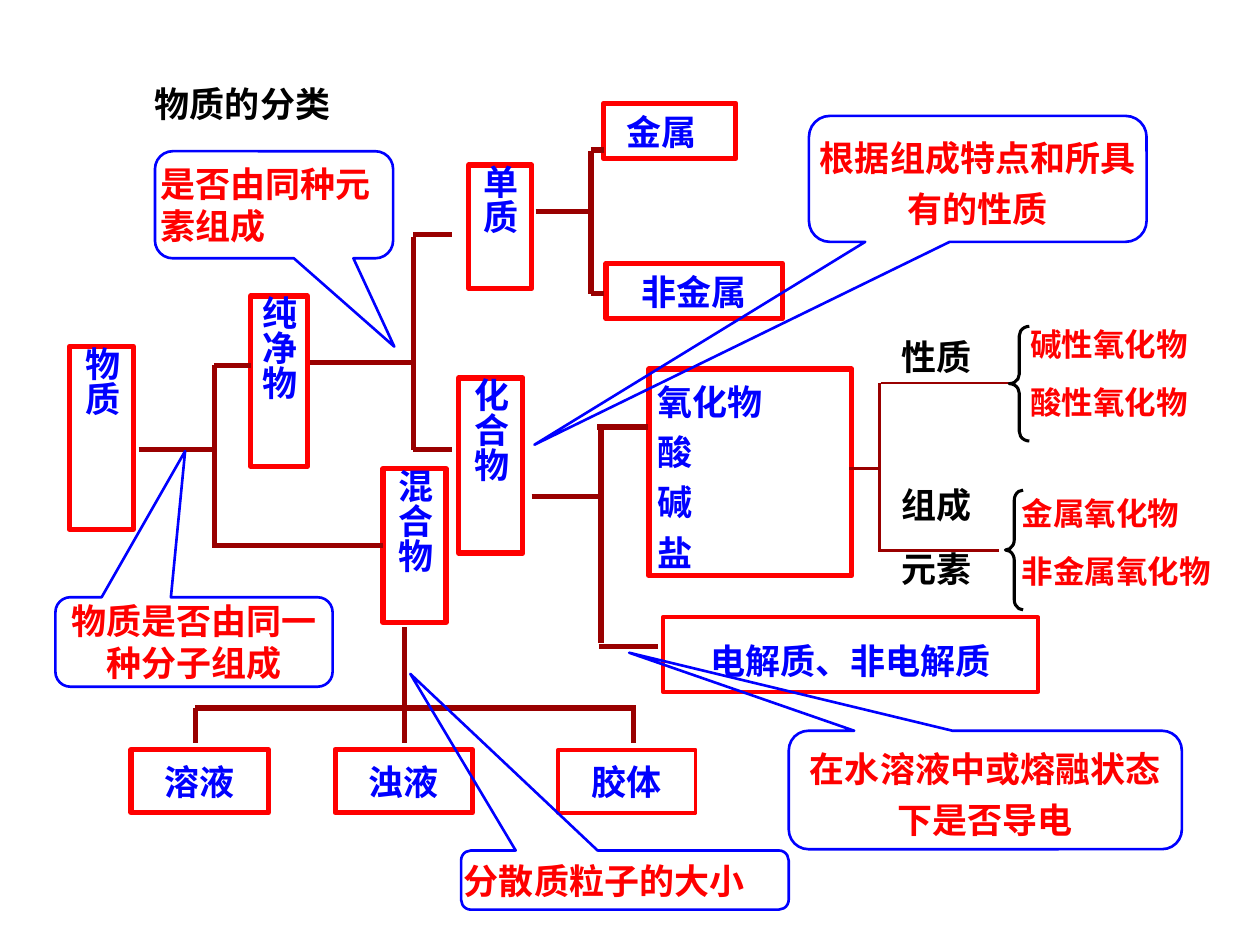
import pptx
import pptx.util
import pptx.dml.color
import pptx.enum.shapes
import pptx.enum.text
import lxml.etree

px = pptx.util.Inches(1) // 100
rgb = pptx.dml.color.RGBColor.from_string
kind = pptx.enum.shapes.MSO_SHAPE
align = pptx.enum.text.PP_ALIGN
red, blue, brown, black = "FF0000", "0000FF", "990000", "000000"
roman, arial = "Times New Roman", "Arial"


def write(shape, text, face, hue, side, size=20, pad=(0, 0), lead=None, gap=0):
    frame = shape.text_frame
    frame.word_wrap = True
    frame.auto_size = pptx.enum.text.MSO_AUTO_SIZE.NONE
    frame.vertical_anchor = pptx.enum.text.MSO_ANCHOR.MIDDLE
    frame.margin_left, frame.margin_right = pad[0] * px, pad[1] * px
    frame.margin_top = frame.margin_bottom = 0
    frame.text = text
    for i, para in enumerate(frame.paragraphs):
        para.alignment = side
        if lead:
            para.line_spacing = lead
        if i and gap:
            para.space_before = pptx.util.Pt(gap)
        font = para.font
        font.name, font.size, font.bold = face, pptx.util.Pt(size), True
        font.color.rgb = rgb(hue)


def draw(form, area, hue, width, fill=None):
    shape = slide.shapes.add_shape(form, *[n * px for n in area])
    shape.shadow.inherit = False
    shape.line.color.rgb = rgb(hue)
    shape.line.width = pptx.util.Pt(width)
    if fill:
        shape.fill.solid()
        shape.fill.fore_color.rgb = rgb(fill)
    else:
        shape.fill.background()
    return shape


deck = pptx.Presentation()
deck.slide_width, deck.slide_height = 1000 * px, 750 * px
slide = deck.slides.add_slide(deck.slide_layouts[5])

title = slide.shapes.title
title.left, title.top, title.width, title.height = [n * px for n in (20, 60, 345, 44)]
write(title, "物质的分类", arial, black, align.CENTER, pad=(10, 10))

white = "FFFFFF"
tall = {}
for text, area, fill in [
    ("物质", (55, 275, 51, 145), white),
    ("纯净物", (199, 235, 45, 135), white),
    ("混合物", (304, 372, 50, 122), None),
    ("单质", (372, 131, 50, 98), white),
    ("化合物", (364, 300, 51, 139), white),
]:
    box = tall[text] = draw(kind.RECTANGLE, area, red, 3, fill)
    write(box, text, roman, blue, align.CENTER)
    box.element.txBody.bodyPr.set("vert", "eaVert")

for text, area, width, fill, face, side, pad, lead in [
    ("电解质、非电解质", (526, 490, 298, 59), 2.25, None, roman, align.CENTER, 0, 1.3),
    ("胶体", (443, 595, 109, 50), 2.25, None, roman, align.CENTER, 0, None),
    ("溶液", (104, 595, 109, 50), 3, white, roman, align.CENTER, 0, None),
    ("浊液", (266, 595, 109, 50), 3, white, roman, align.CENTER, 0, None),
    ("氧化物\n酸\n碱\n盐", (515, 293, 161, 164), 3, white, roman, align.LEFT, 7, 1.2),
    ("金属", (479, 82, 105, 44), 3, None, arial, align.LEFT, 18, None),
    ("非金属", (481, 209, 140, 44), 3, None, arial, align.CENTER, 0, None),
]:
    box = draw(kind.RECTANGLE, area, red, width, fill)
    write(box, text, face, blue, side, pad=(pad, 0), lead=lead)

for width, lines in [
    (3, [
        (246, 288, 328, 288), (328, 188, 328, 357), (328, 186, 359, 186), (328, 357, 359, 357),
        (155, 562, 155, 590), (321, 498, 321, 590), (503, 562, 503, 590), (155, 562, 505, 562),
        (110, 357, 172, 357), (170, 290, 170, 435), (170, 290, 199, 290), (170, 433, 304, 433),
        (425, 168, 467, 168), (469, 120, 469, 233), (469, 119, 479, 119), (469, 233, 479, 233),
        (475, 513, 522, 513), (422, 394, 475, 394), (477, 339, 477, 510), (474, 339, 514, 339),
    ]),
    (1.75, [(698, 304, 698, 438)]),
    (1.5, [(674, 372, 698, 372), (699, 304, 801, 304), (699, 437, 793, 437)]),
]:
    for ends in lines:
        line = slide.shapes.add_connector(
            pptx.enum.shapes.MSO_CONNECTOR.STRAIGHT, *[n * px for n in ends])
        line.line.color.rgb = rgb(brown)
        line.line.width = pptx.util.Pt(width)
        lxml.etree.SubElement(line.element.spPr, pptx.oxml.ns.qn("a:effectLst"))
        if ends[2:] == (304, 433):
            line.end_connect(tall["混合物"], 1)

for text, area, hue, size, gap in [
    ("碱性氧化物\n酸性氧化物", (808, 253, 185, 86), red, 18, 11.2),
    ("金属氧化物\n非金属氧化物", (801, 387, 189, 86), red, 18, 11.2),
    ("性质", (706, 261, 134, 44), black, 20, 0),
    ("组成\n元素", (706, 379, 126, 94), black, 20, 12.5),
]:
    box = slide.shapes.add_textbox(*[n * px for n in area])
    write(box, text, arial, hue, align.LEFT, size, (10, 10), gap=gap)

for area, bend in [((801, 259, 16, 91), 0.47), ((798, 389, 14, 95), 0.57)]:
    brace = draw(kind.LEFT_BRACE, area, black, 1.75)
    brace.adjustments[0] = bend

for text, area, tip, side, lead in [
    ("物质是否由同一种分子组成", (44, 474, 220, 71), (-0.032, -2.135), align.CENTER, None),
    ("是否由同种元素组成", (123, 120, 189, 85), (0.505, 1.325), align.LEFT, None),
    ("根据组成特点和所具有的性质", (642, 92, 268, 100), (-1.313, 2.11), align.CENTER, 1.2),
    ("在水溶液中或熔融状态下是否导电", (626, 580, 312, 94), (-0.906, -1.159), align.CENTER, 1.2),
    ("分散质粒子的大小", (366, 675, 260, 47), (-0.655, -3.481), align.LEFT, None),
]:
    note = draw(kind.ROUNDED_RECTANGULAR_CALLOUT, area, blue, 1.5)
    note.adjustments[0], note.adjustments[1] = tip
    write(note, text, roman, red, side, lead=lead)

deck.save("out.pptx")
